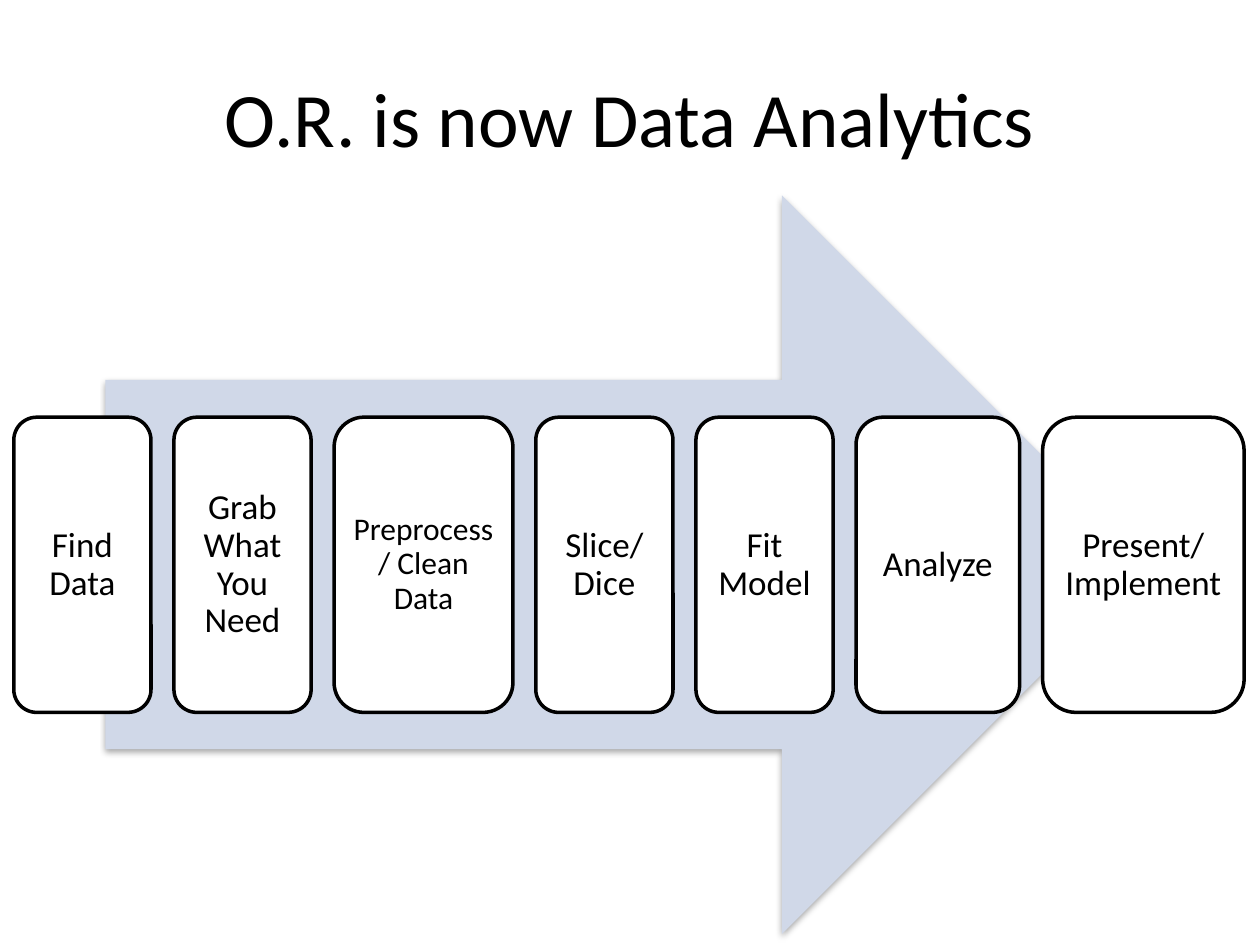
from lxml import etree
from pptx import Presentation
from pptx.dml.color import RGBColor
from pptx.enum.shapes import MSO_SHAPE as Preset
from pptx.enum.text import MSO_ANCHOR as Anchor, PP_ALIGN as Align
from pptx.oxml.ns import qn
from pptx.util import Pt

BLACK, WHITE, PALE_BLUE = "000000", "FFFFFF", "D0D8E8"
STEPS_LEFT, STEPS_TOP, STEP_HEIGHT, STEP_GAP = 7.9, 238.4, 168.7, 13.1

# label, box width, text size
STEPS = [
    ("Find Data", 78.4, 20),
    ("Grab What You Need", 78.4, 20),
    ("Preprocess / Clean Data", 102.2, 18),
    ("Slice/Dice", 78.4, 20),
    ("Fit Model", 78.4, 20),
    ("Analyze", 93.5, 20),
    ("Present/ Implement", 115.2, 20),
]


def color(hex_code):
    return RGBColor.from_string(hex_code)


def write_text(frame, text, size):
    frame.text = text
    frame.word_wrap = True
    frame.vertical_anchor = Anchor.MIDDLE
    paragraph = frame.paragraphs[0]
    paragraph.alignment = Align.CENTER
    font = paragraph.runs[0].font
    font.name, font.size = "Calibri", Pt(size)
    font.color.rgb = color(BLACK)
    return paragraph


def add_filled(slide, preset, left, top, width, height, fill):
    shape = slide.shapes.add_shape(preset, Pt(left), Pt(top), Pt(width), Pt(height))
    shape.shadow.inherit = False
    shape.fill.solid()
    shape.fill.fore_color.rgb = color(fill)
    return shape


def add_soft_shadow(shape):
    effects = shape.element.spPr.find(qn("a:effectLst"))
    shadow = etree.SubElement(
        effects, qn("a:outerShdw"), blurRad=str(Pt(3.1)), dist=str(Pt(1.8)),
        dir="5400000", rotWithShape="0")
    tint = etree.SubElement(shadow, qn("a:srgbClr"), val=BLACK)
    etree.SubElement(tint, qn("a:alpha"), val="35000")


def set_title(slide, text):
    title = slide.shapes.title
    title.left, title.top = Pt(36), Pt(21.6)
    title.width, title.height = Pt(648), Pt(90)
    write_text(title.text_frame, text, 44)


def add_process_arrow(slide):
    arrow = add_filled(slide, Preset.RIGHT_ARROW, 60.3, 111.6, 597.6, 422, PALE_BLUE)
    arrow.line.fill.background()
    add_soft_shadow(arrow)


def add_step(slide, left, label, width, size):
    box = add_filled(slide, Preset.ROUNDED_RECTANGLE, left, STEPS_TOP,
                     width, STEP_HEIGHT, WHITE)
    box.line.color.rgb = color(BLACK)
    box.line.width = Pt(2)
    frame = box.text_frame
    inset = Pt(0.3 * size)
    frame.margin_left = frame.margin_right = inset
    frame.margin_top = frame.margin_bottom = inset
    write_text(frame, label, size).line_spacing = 0.9


def main():
    prs = Presentation()
    prs.slide_width, prs.slide_height = Pt(720), Pt(540)
    slide = prs.slides.add_slide(prs.slide_layouts.get_by_name("Title Only"))
    set_title(slide, "O.R. is now Data Analytics")
    add_process_arrow(slide)
    left = STEPS_LEFT
    for label, width, size in STEPS:
        add_step(slide, left, label, width, size)
        left += width + STEP_GAP
    prs.save("out.pptx")


if __name__ == "__main__":
    main()
